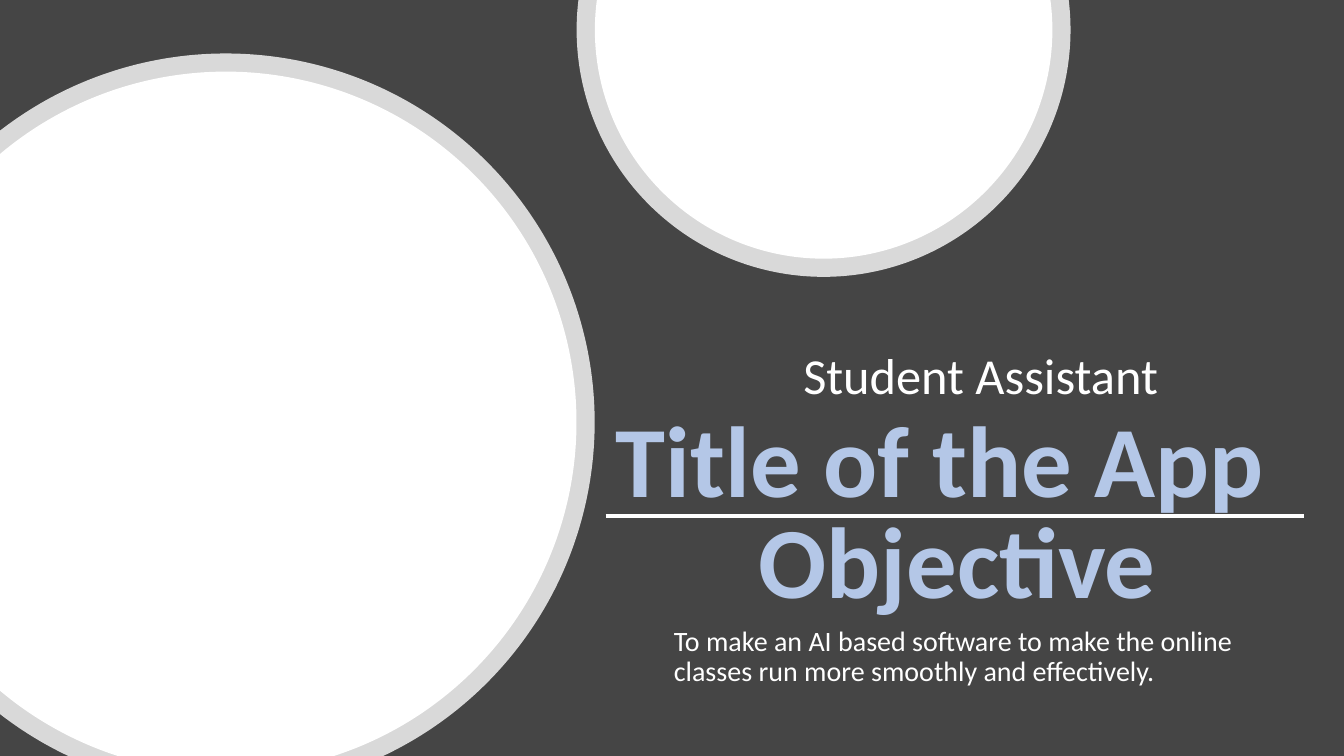
import math

from lxml import etree
from pptx import Presentation
from pptx import util as u
from pptx.dml import color
from pptx.enum import shapes, text
from pptx.oxml import ns

WIDTH, HEIGHT = 960, 540
WHITE, BLUE, GREY = "FFFFFF", "B4C7E7", "454545"
RIM = 13
HEADING = {"size": u.Pt(72), "bold": True}


def rgb(value):
    return color.RGBColor.from_string(value)


def add_disc(page, center_x, center_y, radius, opacity=100):
    """Draw a white disc cut off at the slide edges."""
    def place(angle):
        turn = math.radians(angle)
        return center_x + radius * math.cos(turn), center_y + radius * math.sin(turn)

    def on_slide(angle):
        x, y = place(angle)
        return -0.01 <= x <= WIDTH + 0.01 and -0.01 <= y <= HEIGHT + 0.01

    # Corner angles: quarter points and crossings with the slide edges
    angles = {0, 90, 180, 270}
    for center, size, offset in ((center_x, WIDTH, 0), (center_y, HEIGHT, 90)):
        for edge in (0, size):
            ratio = (edge - center) / radius
            if abs(ratio) < 1:
                turn = math.degrees(math.acos(ratio))
                angles |= {(offset + turn) % 360, (offset - turn) % 360}
    angles = [angle for angle in sorted(angles) if on_slide(angle)]
    angles.append(angles[0] + 360)

    points = [tuple(u.Pt(value) for value in place(angle)) for angle in angles]
    builder = page.shapes.build_freeform(*points[0])
    builder.add_line_segments(points[1:], close=True)
    disc = builder.convert_to_shape()

    # Bend each side that lies on the slide into an arc
    sides = disc._element.findall(".//" + ns.qn("a:lnTo"))
    for side, start, end in zip(sides, angles, angles[1:]):
        if on_slide((start + end) / 2):
            arc = etree.Element(ns.qn("a:arcTo"), wR=str(u.Pt(radius)), hR=str(u.Pt(radius)),
                                stAng=str(round(start * 60000)),
                                swAng=str(round((end - start) * 60000)))
            side.getparent().replace(side, arc)

    disc.shadow.inherit = False
    disc.line.fill.background()
    disc.fill.solid()
    disc.fill.fore_color.rgb = rgb(WHITE)
    if opacity < 100:
        tint = disc.fill._xPr.find(".//" + ns.qn("a:srgbClr"))
        etree.SubElement(tint, ns.qn("a:alpha"), val=str(opacity * 1000))


def add_photo_circle(page, center_x, center_y, radius):
    """Draw a translucent rim with a solid disc inside it."""
    add_disc(page, center_x, center_y, radius, opacity=80)
    add_disc(page, center_x, center_y, radius - RIM)


def write_text(box, place, words, font, shade=WHITE, spacing=None,
               anchor=text.MSO_ANCHOR.TOP):
    """Place a text shape and format its single paragraph."""
    for name, value in zip(("left", "top", "width", "height"), place):
        setattr(box, name, u.Pt(value))
    frame = box.text_frame
    frame.word_wrap = True
    frame.auto_size = text.MSO_AUTO_SIZE.NONE
    frame.vertical_anchor = anchor
    para = frame.paragraphs[0]
    layout = {"alignment": text.PP_ALIGN.LEFT, **(spacing or {"space_after": u.Pt(6)})}
    for name, value in layout.items():
        setattr(para, name, value)
    span = para.add_run()
    span.text = words
    for name, value in {"name": "Calibri", **font}.items():
        setattr(span.font, name, value)
    span.font.color.rgb = rgb(shade)


def add_text(page, *args, **options):
    write_text(page.shapes.add_textbox(0, 0, 0, 0), *args, **options)


def add_headings(page, left, top):
    """Place the app title, its rule and the objective."""
    width = 590
    add_text(page, (left + 134, top, width, 51), "Student Assistant", {"size": u.Pt(36)})
    write_text(page.shapes.title, (left, top + 37.5, width, 94), "Title of the App",
               HEADING, BLUE)
    add_text(page, (left + 102, top + 109.5, width, 94), "Objective", HEADING, BLUE)
    add_text(page, (left + 41.5, top + 175.5, 419, 76.5),
             "To make an AI based software to make the online classes run more "
             "smoothly and effectively.",
             {"size": u.Pt(20)}, spacing={"line_spacing": 0.9},
             anchor=text.MSO_ANCHOR.BOTTOM)

    # Rule between title and objective
    rule_y = u.Pt(top + 126)
    rule = page.shapes.add_connector(shapes.MSO_CONNECTOR.STRAIGHT, u.Pt(left), rule_y,
                                     u.Pt(left + 499), rule_y)
    rule.line.width = u.Pt(3)
    rule.line.color.rgb = rgb(WHITE)
    etree.SubElement(rule._element.spPr, ns.qn("a:effectLst"))


def build_cover(deck):
    page = deck.slides.add_slide(deck.slide_layouts[5])
    page.background.fill.solid()
    page.background.fill.fore_color.rgb = rgb(GREY)

    # Large circle at left, small circle at top
    add_photo_circle(page, 161.3, 301.7, 263.5)
    add_photo_circle(page, 588.3, 21.4, 176.4)

    add_headings(page, 432.7, 242.6)


def main():
    deck = Presentation()
    deck.slide_width, deck.slide_height = u.Pt(WIDTH), u.Pt(HEIGHT)
    build_cover(deck)
    deck.save("out.pptx")


if __name__ == "__main__":
    main()
